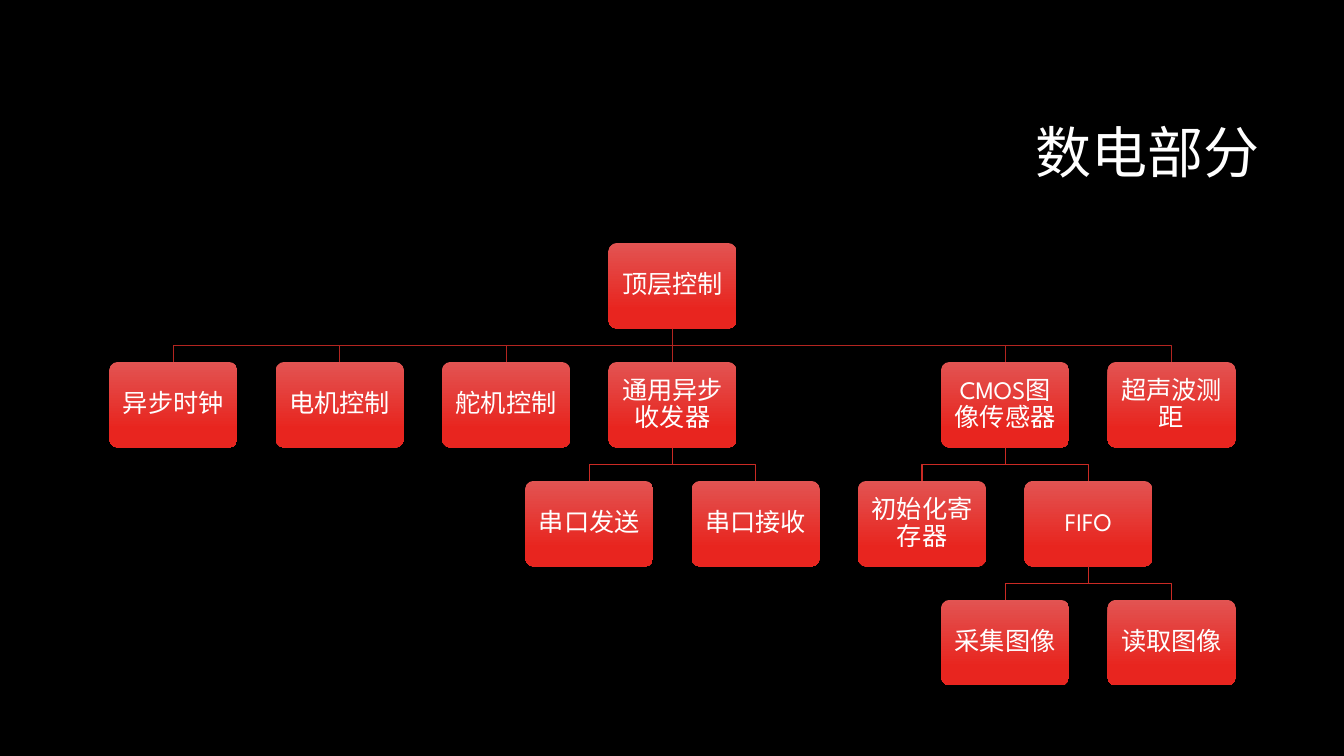
from dataclasses import dataclass

from lxml.etree import SubElement
from pptx import Presentation
from pptx.dml.color import RGBColor
from pptx.enum.shapes import MSO_CONNECTOR, MSO_SHAPE
from pptx.enum.text import MSO_ANCHOR, PP_ALIGN
from pptx.oxml.ns import qn
from pptx.util import Inches, Pt


@dataclass(frozen=True)
class Theme:
    background: RGBColor = RGBColor(0x00, 0x00, 0x00)
    text: RGBColor = RGBColor(0xFF, 0xFF, 0xFF)
    box_top: RGBColor = RGBColor(0xE2, 0x54, 0x52)
    box_bottom: RGBColor = RGBColor(0xE8, 0x25, 0x1F)
    upper_link: RGBColor = RGBColor(0xB3, 0x25, 0x20)
    lower_link: RGBColor = RGBColor(0xCA, 0x2A, 0x24)
    latin_font: str = "League Spartan"
    chinese_font: str = "Noto Sans CJK SC"
    title_size: int = 40
    box_size: int = 18
    link_width: float = 0.75


THEME = Theme()

BOX_WIDTH, BOX_HEIGHT = 1.27, 0.85
FIRST_CENTER, COLUMN_PITCH = 1.72, 1.65
FIRST_TOP, ROW_PITCH = 2.41, 1.18

# Each module: name, column (halves lie between columns), submodules
MODULE_TREE = ("顶层控制", 3, [
    ("异步时钟", 0, []),
    ("电机控制", 1, []),
    ("舵机控制", 2, []),
    ("通用异步收发器", 3, [
        ("串口发送", 2.5, []),
        ("串口接收", 3.5, []),
    ]),
    ("CMOS图像传感器", 5, [
        ("初始化寄存器", 4.5, []),
        ("FIFO", 5.5, [
            ("采集图像", 5, []),
            ("读取图像", 6, []),
        ]),
    ]),
    ("超声波测距", 6, []),
])


def write_text(shape, text, *, size, font, align, inset):
    frame = shape.text_frame
    frame.word_wrap = True
    frame.vertical_anchor = MSO_ANCHOR.MIDDLE
    frame.margin_left = frame.margin_right = Inches(inset)
    frame.margin_top = frame.margin_bottom = Inches(inset)
    paragraph = frame.paragraphs[0]
    paragraph.alignment = align
    paragraph.line_spacing = 0.9
    run = paragraph.add_run()
    run.text = text
    run.font.size = Pt(size)
    run.font.name = font
    run.font.color.rgb = THEME.text
    SubElement(run.font._element, qn("a:ea"), typeface=THEME.chinese_font)


def add_title(slide, text):
    title = slide.shapes.add_textbox(Inches(3.17), Inches(0.84), Inches(9.42), Inches(1.41))
    write_text(title, text, size=THEME.title_size, font=THEME.chinese_font,
               align=PP_ALIGN.RIGHT, inset=0.1)


def add_box(slide, name, column, row):
    left = FIRST_CENTER + column * COLUMN_PITCH - BOX_WIDTH / 2
    top = FIRST_TOP + row * ROW_PITCH
    box = slide.shapes.add_shape(MSO_SHAPE.ROUNDED_RECTANGLE, Inches(left), Inches(top),
                                 Inches(BOX_WIDTH), Inches(BOX_HEIGHT))
    box.adjustments[0] = 0.1
    box.shadow.inherit = False
    box.line.fill.background()
    box.fill.gradient()
    box.fill.gradient_angle = 270
    start, end = box.fill.gradient_stops
    start.color.rgb, start.position = THEME.box_top, 0
    end.color.rgb, end.position = THEME.box_bottom, 0.78
    write_text(box, name, size=THEME.box_size, font=THEME.latin_font,
               align=PP_ALIGN.CENTER, inset=0.09)
    return box


def add_straight_link(slide, parent, child):
    link = slide.shapes.add_connector(MSO_CONNECTOR.STRAIGHT, 0, 0, 0, 0)
    link.begin_connect(parent, 2)
    link.end_connect(child, 0)
    SubElement(link._element.spPr, qn("a:effectLst"))
    return link


def add_bent_link(slide, parent, child):
    """Run down from the parent, across halfway, and down to the child."""
    start_x = parent.left + parent.width // 2
    start_y = parent.top + parent.height
    end_x = child.left + child.width // 2
    middle_y = (start_y + child.top) // 2
    builder = slide.shapes.build_freeform(start_x, start_y)
    builder.add_line_segments(
        [(start_x, middle_y), (end_x, middle_y), (end_x, child.top)], close=False)
    link = builder.convert_to_shape()
    link.fill.background()
    link.shadow.inherit = False
    return link


def add_module(slide, module, row=0):
    """Draw a module with everything below it and return its box."""
    name, column, submodules = module
    box = add_box(slide, name, column, row)
    for submodule in submodules:
        child = add_module(slide, submodule, row + 1)
        add_link = add_straight_link if submodule[1] == column else add_bent_link
        link = add_link(slide, box, child)
        link.line.color.rgb = THEME.upper_link if row == 0 else THEME.lower_link
        link.line.width = Pt(THEME.link_width)
    return box


def main():
    presentation = Presentation()
    presentation.slide_width = Inches(13.33)
    presentation.slide_height = Inches(7.5)
    slide = presentation.slides.add_slide(presentation.slide_layouts[6])
    slide.background.fill.solid()
    slide.background.fill.fore_color.rgb = THEME.background
    add_title(slide, "数电部分")
    add_module(slide, MODULE_TREE)
    presentation.save("out.pptx")


if __name__ == "__main__":
    main()
